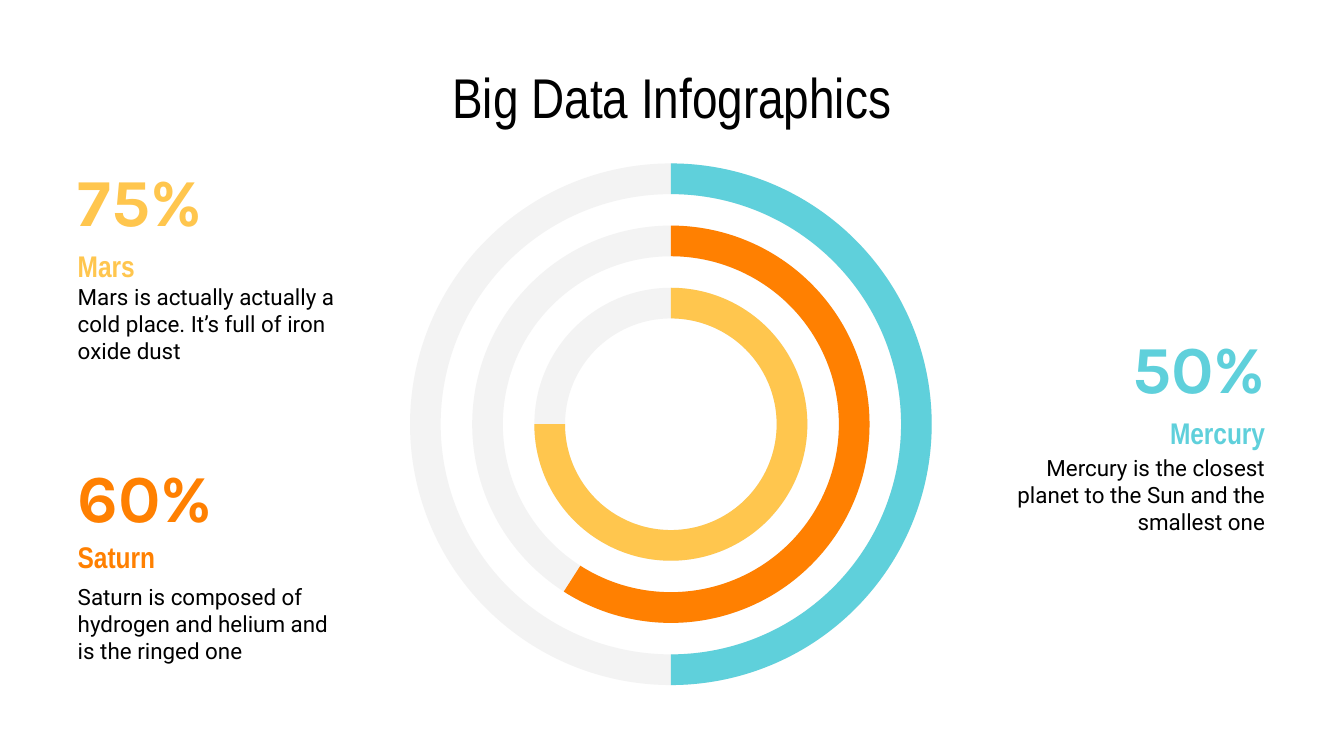
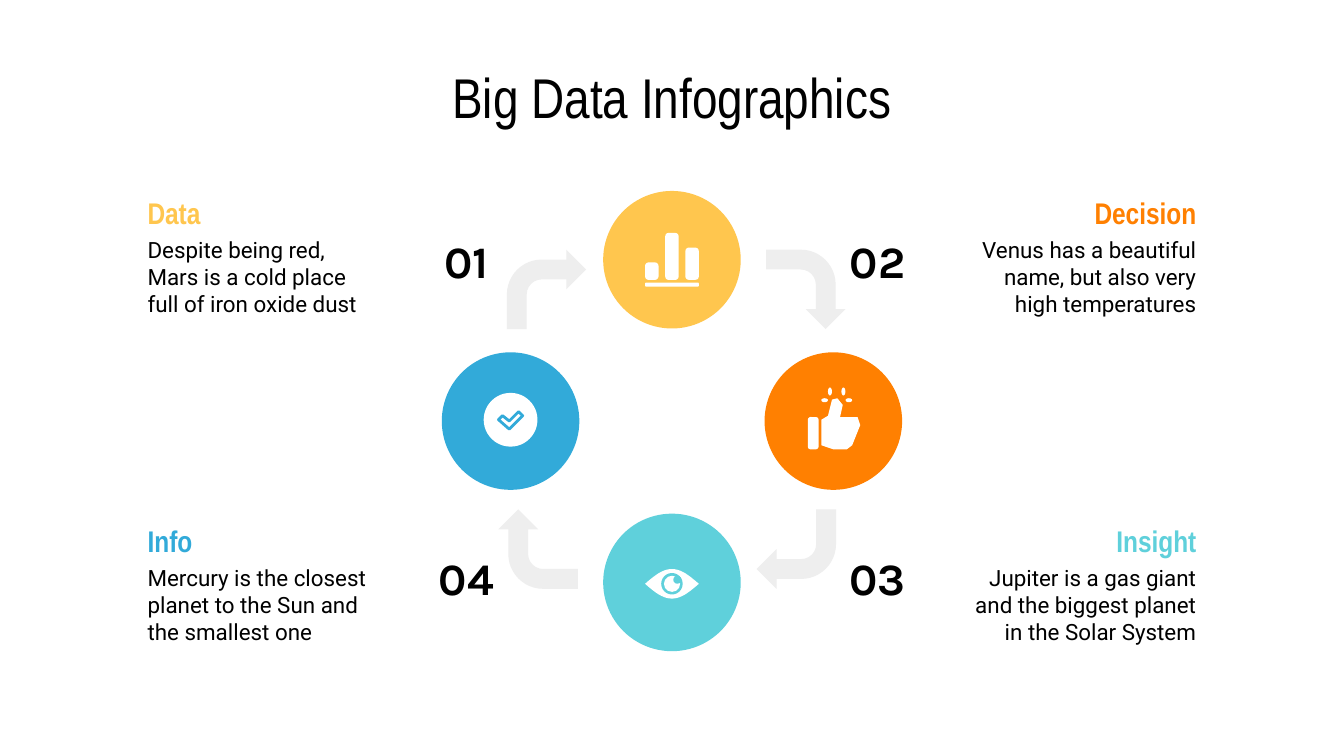
from dataclasses import dataclass
from math import cos, pi

from pptx import Presentation
from pptx.dml.color import RGBColor as Rgb
from pptx.enum.shapes import MSO_SHAPE as Preset
from pptx.enum.text import MSO_ANCHOR as Anchor, PP_ALIGN as Align
from pptx.util import Cm, Pt


@dataclass(frozen=True)
class Theme:
    yellow: str = "FFC64E"
    orange: str = "FF8001"
    teal: str = "5FD0DB"
    blue: str = "32AAD9"
    track: str = "F3F3F3"
    arrow: str = "EEEEEE"
    black: str = "000000"
    white: str = "FFFFFF"
    headline: str = "Arial Narrow"
    text: str = "Roboto"
    figure: str = "Karla"
    inset: float = 0.25


theme = Theme()
roomy = {"line_spacing": 1.15, "space_after": Pt(16)}
# Each style: font values, paragraph values, vertical anchor, inset
STYLES = {
    "title": ({"name": theme.headline, "size": Pt(30)}, {}, Anchor.MIDDLE, theme.inset),
    "percent": ({"name": theme.figure, "size": Pt(36), "bold": True}, roomy, Anchor.TOP, theme.inset),
    "planet": ({"name": theme.headline, "size": Pt(16), "bold": True}, roomy, Anchor.TOP, theme.inset),
    "heading": ({"name": theme.headline, "size": Pt(16), "bold": True}, {}, Anchor.MIDDLE, theme.inset),
    "body": ({"name": theme.text, "size": Pt(12)}, {}, Anchor.MIDDLE, theme.inset),
    "number": ({"name": theme.figure, "size": Pt(24), "bold": True}, {}, Anchor.MIDDLE, 0),
}


def write(slide, text, style, box, color=theme.black, align=Align.LEFT):
    """Place text in a box of (left, top, width, height) in cm."""
    font_values, paragraph_values, anchor, inset = STYLES[style]
    frame = slide.shapes.add_textbox(*map(Cm, box)).text_frame
    paragraph = frame.paragraphs[0]
    run = paragraph.add_run()
    run.text = text
    run.font.color.rgb = Rgb.from_string(color)
    margins = {f"margin_{side}": Cm(inset) for side in ("left", "top", "right", "bottom")}
    frame_values = {"word_wrap": True, "vertical_anchor": anchor, **margins}
    for target, values in ((frame, frame_values), (run.font, font_values),
                           (paragraph, {"alignment": align, **paragraph_values})):
        for name, value in values.items():
            setattr(target, name, value)


def paint(shape, color, adjustments=(), rotation=0):
    """Flat fill without line or shadow."""
    shape.fill.solid()
    shape.fill.fore_color.rgb = Rgb.from_string(color)
    shape.line.fill.background()
    shape.shadow.inherit = False
    shape.rotation = rotation
    for index, value in enumerate(adjustments):
        shape.adjustments[index] = value


deck = Presentation()
deck.slide_width, deck.slide_height = Cm(25.4), Cm(14.29)
rings_slide, cycle_slide = (deck.slides.add_slide(deck.slide_layouts[6]) for _ in range(2))
for slide in (rings_slide, cycle_slide):
    write(slide, "Big Data Infographics", "title", (1.27, 1.14, 22.86, 1.35), align=Align.CENTER)

# Slide 1: concentric rings, outermost first
CENTER_X, CENTER_Y, BAND = 12.68, 8.02, 0.58
for level, (color, end_angle) in enumerate(
        [(theme.teal, 90), (theme.orange, 122.6), (theme.yellow, 180)]):
    size = 9.86 - 2.35 * level
    box = [Cm(v) for v in (CENTER_X - size / 2, CENTER_Y - size / 2, size, size)]
    paint(rings_slide.shapes.add_shape(Preset.DONUT, *box), theme.track, [BAND / size])
    # Arc angles are stored in units of 0.6 per degree
    paint(rings_slide.shapes.add_shape(Preset.BLOCK_ARC, *box), color,
          [270 * 0.6, end_angle * 0.6, BAND / size])

# Slide 1: planets, with tops of percent and description
planets = [
    ("75%", "Mars", "Mars is actually actually a cold place. It’s full of iron oxide dust",
     theme.yellow, Align.LEFT, 2.54, 5.13),
    ("60%", "Saturn", "Saturn is composed of hydrogen and helium and is the ringed one",
     theme.orange, Align.LEFT, 8.13, 10.8),
    ("50%", "Mercury", "Mercury is the closest planet to the Sun and the smallest one",
     theme.teal, Align.RIGHT, 5.69, 8.36),
]
for percent, planet, description, color, align, top, description_top in planets:
    for text, style, row_top, width, height, ink in (
            (percent, "percent", top, 3.63, 1.6, color),
            (planet, "planet", top + 1.8 - 0.1 * (planet == "Saturn"), 3.63, 1.07, color),
            (description, "body", description_top, 5.36, 1.98, theme.black)):
        left = 1.22 if align == Align.LEFT else 24.16 - width
        write(rings_slide, text, style, (left, row_top, width, height), ink, align)

# Slide 2: icon parts around the disc's centre, in hundredths of an inch
UNIT = Cm(2.54) / 100
PILL, OVAL = Preset.ROUNDED_RECTANGLE, Preset.OVAL
bars = [(PILL, left, 15 - height, 10, height, theme.white)
        for left, height in ((-20, 13), (-5, 35), (10, 24))]
sparks = [(OVAL, left, -17, 5, 3, theme.white) for left in (-9, 9)]
icon_parts = {
    "chart": bars + [(PILL, -20, 17, 40, 3, theme.white)],
    "thumb": sparks + [(OVAL, left, -25, 3, 6, theme.white) for left in (-4, 6)]
             + [(PILL, -19, -3, 8, 24, theme.white)],
    "eye": [(OVAL, -8, -7, 16, 16, theme.teal), (OVAL, -6, -5, 12, 12, theme.white),
            (OVAL, 1, -5, 6, 6, theme.teal)],
    "check": [(OVAL, -20, -21, 40, 40, theme.white)],
}
lids = [(x, 1 + side * 11 * cos(pi * x / 40))
        for side in (-1, 1) for x in range(-20 * -side, 21 * -side, 2 * -side)]
lids = [(side * x, 1 - side * 11 * cos(pi * x / 40)) for side in (1, -1) for x in range(-20, 21, 2)]
outlines = {
    "eye": lids,
    "thumb": [(-9, -1), (-4, -4), (-1, -16), (3, -17), (7, -12), (5, -3), (18, -3),
              (20, 3), (14, 18), (10, 21), (0, 21), (-9, 18)],
    "check": [(-9, -1), (-6, -4), (-1, 0), (6, -7), (9, -4), (-1, 6)],
}

# Slide 2: steps run clockwise from the top disc
DISC, REACH, ARROW = 2.6, 3.05, 1.5
steps = [
    ("Data", "Despite being red, Mars is a cold place full of iron oxide dust",
     theme.yellow, "chart", (0, -1), 9.58),
    ("Decision", "Venus has a beautiful name, but also very high temperatures",
     theme.orange, "thumb", (1, 0), 14.48),
    ("Insight", "Jupiter is a gas giant and the biggest planet in the Solar System",
     theme.teal, "eye", (0, 1), 14.3),
    ("Info", "Mercury is the closest planet to the Sun and the smallest one",
     theme.blue, "check", (-1, 0), 9.42),
]
for turn, (heading, body, color, icon, (across, down), arrow_left) in enumerate(steps):
    shapes = cycle_slide.shapes
    align = Align.RIGHT if turn in (1, 2) else Align.LEFT
    top, arrow_top, number_top = (3.63, 4.72, 4.42) if turn < 2 else (9.83, 9.63, 10.41)

    # Disc and arrow
    x, y = Cm(12.7 + REACH * across), Cm(7.96 + REACH * down)
    radius = Cm(DISC / 2)
    paint(shapes.add_shape(PILL, x - radius, y - radius, Cm(DISC), Cm(DISC)), color, [0.5])
    paint(shapes.add_shape(Preset.BENT_ARROW, *map(Cm, (arrow_left, arrow_top, ARROW, ARROW))),
          theme.arrow, [0.25, 0.25, 0.25, 0.44], 90 * turn)

    # Texts
    number_left = 15.8 if align == Align.RIGHT else 8.03
    write(cycle_slide, f"{turn + 1:02}", "number", (number_left, number_top, 1.57, 1.02),
          align=Align.CENTER)
    for text, style, row_top, width, height, ink in (
            (heading, "heading", top, 5.49, 0.79, color),
            (body, "body", top + 0.8, 4.7, 1.6, theme.black)):
        left = 2.54 if align == Align.LEFT else 22.86 - width
        write(cycle_slide, text, style, (left, row_top, width, height), ink, align)

    # Icon: the check mark lies over its disc, other outlines lie below their parts
    layers = ["outline", "parts"] if icon != "check" else ["parts", "outline"]
    for layer in layers:
        if layer == "parts":
            for kind, left, part_top, width, height, ink in icon_parts[icon]:
                box = (x + left * UNIT, y + part_top * UNIT, width * UNIT, height * UNIT)
                paint(shapes.add_shape(kind, *map(round, box)), ink,
                      [0.25] if kind == PILL else [])
        elif icon in outlines:
            first, *rest = [(x + px * UNIT, y + py * UNIT) for px, py in outlines[icon]]
            pen = shapes.build_freeform(*first)
            pen.add_line_segments(rest, close=True)
            outline = pen.convert_to_shape()
            paint(outline, theme.white)
            if icon == "check":
                outline.line.color.rgb = Rgb.from_string(color)
                outline.line.width = Pt(1.5)

deck.save("out.pptx")
